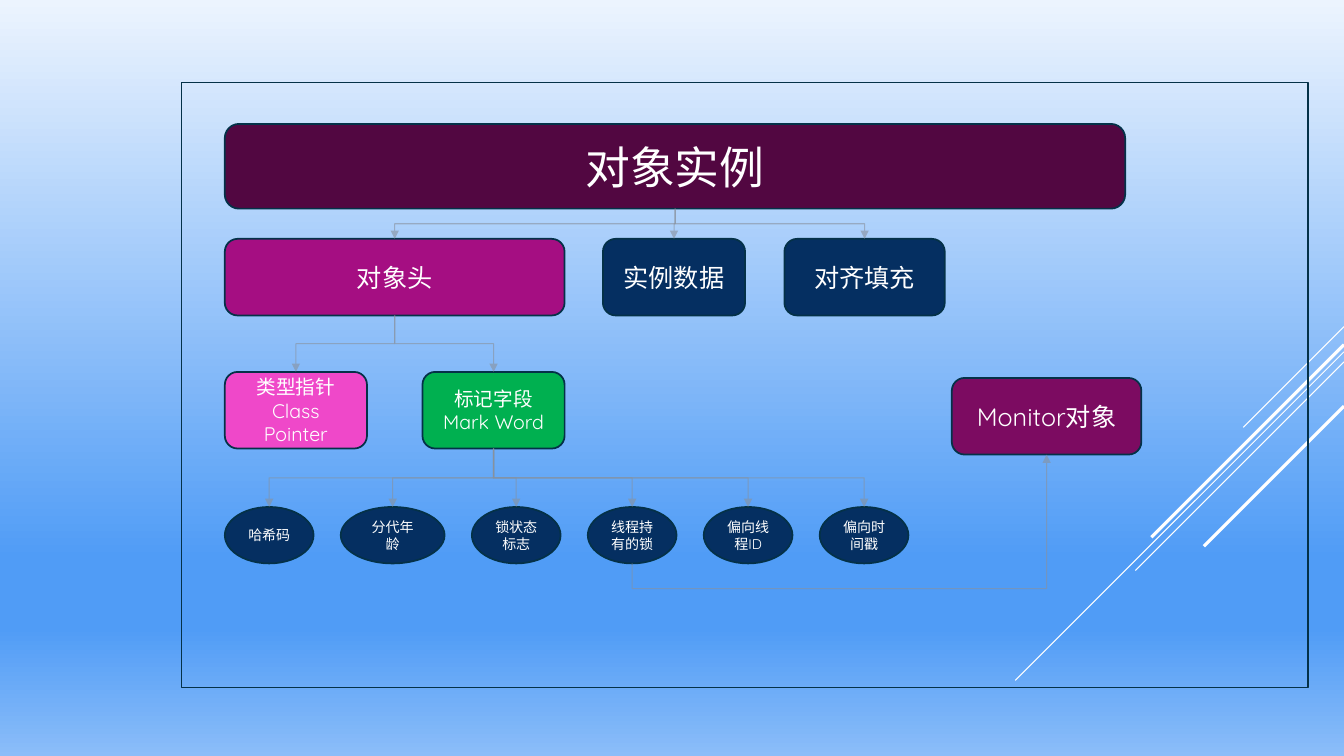
import copy

import pptx
import pptx.dml.color
import pptx.enum.dml
import pptx.enum.shapes
import pptx.enum.text
import pptx.oxml
import pptx.oxml.ns
import pptx.util

Inches = pptx.util.Inches
Pt = pptx.util.Pt
RGBColor = pptx.dml.color.RGBColor
MSO_SHAPE = pptx.enum.shapes.MSO_SHAPE
MSO_CONNECTOR = pptx.enum.shapes.MSO_CONNECTOR
qn = pptx.oxml.ns.qn

WHITE = RGBColor(0xFF, 0xFF, 0xFF)
OUTLINE = RGBColor(0x04, 0x31, 0x48)
NAVY = RGBColor(0x05, 0x2F, 0x61)
PLUM = RGBColor(0x52, 0x07, 0x41)
MAGENTA = RGBColor(0xA5, 0x0E, 0x82)
PINK = RGBColor(0xEF, 0x48, 0xC9)
GREEN = RGBColor(0x00, 0xB0, 0x50)
PURPLE = RGBColor(0x7C, 0x0B, 0x61)
ARROW_GREY = RGBColor(0x89, 0x91, 0x9C)
SKY_STOPS = [
    (0, RGBColor(0xEC, 0xF4, 0xFE)),
    (0.74, RGBColor(0x50, 0x9C, 0xF6)),
    (0.83, RGBColor(0x50, 0x9C, 0xF6)),
    (1, RGBColor(0x8B, 0xBD, 0xF9)),
]
SLIDE_WIDTH = 13.33
NODE_HEIGHT = 0.76


def add_node(kind, left, top, width, height, text, size, color):
    node = slide.shapes.add_shape(
        kind, Inches(left), Inches(top), Inches(width), Inches(height))
    node.shadow.inherit = False
    node.fill.solid()
    node.fill.fore_color.rgb = color
    node.line.color.rgb = OUTLINE
    node.line.width = Pt(1.25)
    node.text_frame.text = text
    node.text_frame.word_wrap = True
    node.text_frame.vertical_anchor = pptx.enum.text.MSO_ANCHOR.MIDDLE
    for paragraph in node.text_frame.paragraphs:
        paragraph.alignment = pptx.enum.text.PP_ALIGN.CENTER
        paragraph.font.name = "Quicksand"
        paragraph.font.size = Pt(size)
        paragraph.font.color.rgb = WHITE
    return node


def add_elbow(source, target, loop_drop=None):
    """Arrow from the bottom of source to the top of target, or, with a
    loop_drop, dipping that far below source and rising to target's bottom."""
    arrow = slide.shapes.add_connector(
        MSO_CONNECTOR.ELBOW, source.left + source.width // 2,
        source.top + source.height, 0, 0)
    if loop_drop is None:
        arrow.begin_connect(source, 2)
        arrow.end_connect(target, 0)
    else:
        arrow.end_connect(target, 2)
    x1, y1, x2, y2 = arrow.begin_x, arrow.begin_y, arrow.end_x, arrow.end_y

    # A vertical start is a horizontal elbow turned about its centre.
    arrow.width, arrow.height = abs(y2 - y1), abs(x2 - x1)
    arrow.left = (x1 + x2 - arrow.width) // 2
    arrow.top = (y1 + y2 - arrow.height) // 2
    rising = y2 < y1
    rightward = x2 > x1
    xfrm = arrow._element.spPr.find(qn("a:xfrm"))
    xfrm.set("rot", "16200000" if rightward and not rising else "5400000")
    xfrm.set("flipH", str(int(rightward)))
    xfrm.set("flipV", str(int(rising)))
    if loop_drop is not None:
        guide = pptx.oxml.parse_xml(
            f'<a:gd {pptx.oxml.ns.nsdecls("a")} name="adj1" '
            f'fmla="val {round(-100000 * loop_drop / abs(y2 - y1))}"/>')
        arrow._element.spPr.find(".//" + qn("a:avLst")).append(guide)

    arrow.line.color.rgb = ARROW_GREY
    arrow.line.width = Pt(0.75)
    line = arrow.line._get_or_add_ln()
    color = line.find(".//" + qn("a:srgbClr"))
    color.makeelement(qn("a:alpha"))
    color.append(color.makeelement(qn("a:alpha"), {"val": "60000"}))
    line.append(line.makeelement(qn("a:tailEnd"), {"type": "triangle"}))
    arrow._element.spPr.append(line.makeelement(qn("a:effectLst")))


presentation = pptx.Presentation()
presentation.slide_width = Inches(SLIDE_WIDTH)
presentation.slide_height = Inches(7.5)
slide = presentation.slides.add_slide(presentation.slide_layouts[6])

# Sky background
sky = slide.background.fill
sky.gradient()
sky.gradient_angle = 270
stop_list = next(slide._element.iter(qn("a:gsLst")))
for extra in range(len(SKY_STOPS) - len(stop_list)):
    stop_list.append(copy.deepcopy(stop_list[0]))
for stop, (position, color) in zip(sky.gradient_stops, SKY_STOPS):
    stop.position = position
    stop.color.rgb = color

# 45-degree streaks running in from the right edge: top, reach, weight
for top, reach, weight in [(3.24, 1, 0.75), (3.49, 3.26, 0.75),
                           (3.59, 2.07, 0.75), (3.42, 1.91, 2.25),
                           (4.03, 1.39, 2.25)]:
    streak = slide.shapes.add_connector(
        MSO_CONNECTOR.STRAIGHT, Inches(SLIDE_WIDTH), Inches(top),
        Inches(SLIDE_WIDTH - reach), Inches(top + reach))
    streak.line.color.rgb = WHITE
    streak.line.width = Pt(weight)
    streak._element.spPr.append(
        streak._element.makeelement(qn("a:effectLst")))

# Object layout
ROUNDED = MSO_SHAPE.ROUNDED_RECTANGLE
instance = add_node(ROUNDED, 2.23, 1.23, 8.93, 0.84, "对象实例", 32, PLUM)
header, instance_data, padding = [
    add_node(ROUNDED, left, 2.37, width, NODE_HEIGHT, text, 18, color)
    for left, width, text, color in [(2.23, 3.37, "对象头", MAGENTA),
                                     (5.98, 1.41, "实例数据", NAVY),
                                     (7.78, 1.59, "对齐填充", NAVY)]]
class_pointer, mark_word = [
    add_node(ROUNDED, left, 3.69, 1.41, NODE_HEIGHT, text, 14, color)
    for left, text, color in [(2.23, "类型指针\nClass Pointer", PINK),
                              (4.19, "标记字段\nMark Word", GREEN)]]

frame = slide.shapes.add_shape(
    MSO_SHAPE.RECTANGLE, Inches(1.8), Inches(0.82), Inches(11.17), Inches(6))
frame.shadow.inherit = False
frame.fill.background()
frame.line.color.rgb = OUTLINE
frame.line.width = Pt(1.25)

# Mark word fields, spaced by an equal gap
mark_fields = []
field_left = 2.23
for text, width in [("哈希码", 0.88), ("分代年龄", 1.03), ("锁状态标志", 0.88),
                    ("线程持有的锁", 0.88), ("偏向线程ID", 0.88),
                    ("偏向时间戳", 0.88)]:
    mark_fields.append(add_node(
        MSO_SHAPE.OVAL, field_left, 5.03, width, 0.56, text, 10, NAVY))
    field_left += width + 0.27

for parent, children in [(instance, [header, instance_data, padding]),
                         (header, [class_pointer, mark_word]),
                         (mark_word, mark_fields)]:
    for child in children:
        add_elbow(parent, child)

monitor = add_node(
    ROUNDED, 9.44, 3.75, 1.88, NODE_HEIGHT, "Monitor对象", 18, PURPLE)
held_lock = mark_fields[3]
add_elbow(held_lock, monitor, loop_drop=Inches(0.25))

presentation.save("out.pptx")
